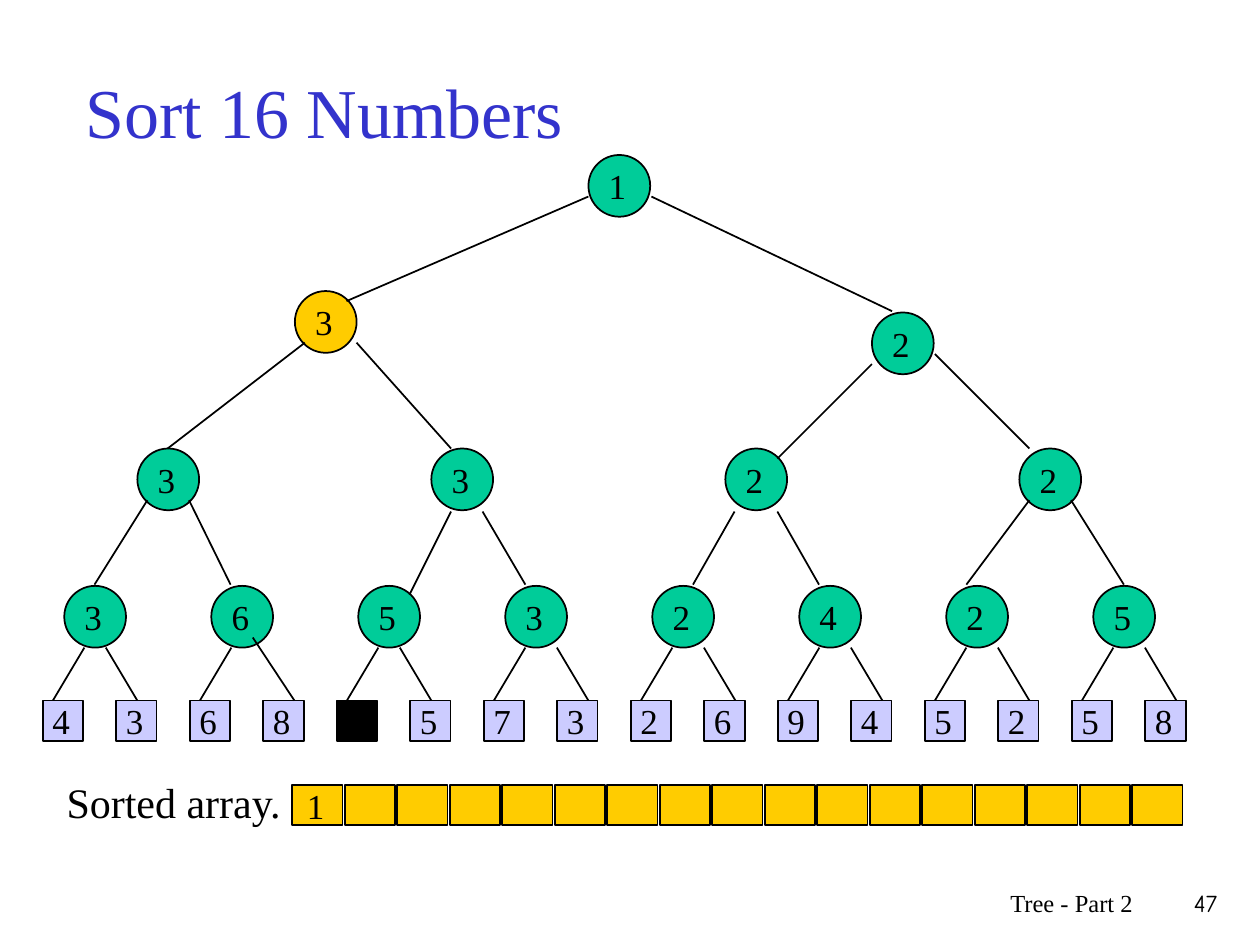
from pptx import Presentation
from pptx.dml.color import RGBColor
from pptx.enum.shapes import MSO_CONNECTOR, MSO_SHAPE
from pptx.enum.text import MSO_ANCHOR, PP_ALIGN
from pptx.oxml.ns import qn
from pptx.util import Inches, Pt
from lxml import etree

SERIF = "Times New Roman"
BLACK, GREEN, GOLD, LILAC, BLUE = "000000", "00CC99", "FFCC00", "CCCCFF", "3333CC"
NODE = 0.49
CELL_HEIGHT = 0.32
LEAF_PITCH = 7 / 12
MATCH_PITCH = 2 * LEAF_PITCH
ARRAY_PITCH = 5 / 12

# The empty entry is the leaf already moved to the sorted array.
LEAVES = ["4", "3", "6", "8", "", "5", "7", "3", "2", "6", "9", "4", "5", "2", "5", "8"]
FIRST_ROUND = "36532425"
SECOND_ROUND = "3322"

# (from x, from y, to x, to y) for the edges above the first round
UPPER_EDGES = [
    (4.67, 1.56, 2.75, 2.39), (5.17, 1.56, 7.08, 2.47),
    (2.42, 2.72, 1.33, 3.56), (2.83, 2.72, 3.58, 3.56),
    (6.92, 2.89, 6.17, 3.64), (7.42, 2.81, 8.17, 3.56),
    (1.17, 3.97, 0.75, 4.64), (1.5, 3.97, 1.83, 4.64),
    (3.58, 4.06, 3.25, 4.72), (3.83, 4.06, 4.17, 4.64),
    (5.83, 4.06, 5.5, 4.64), (6.17, 4.06, 6.5, 4.64),
    (8.17, 3.97, 7.67, 4.64), (8.5, 3.97, 8.92, 4.64),
]


def color(hex_string):
    return RGBColor.from_string(hex_string)


def style_text(paragraph, size, hex_color=BLACK, font=SERIF, align=PP_ALIGN.LEFT):
    paragraph.alignment = align
    for run in paragraph.runs:
        run.font.size = Pt(size)
        run.font.name = font
        run.font.color.rgb = color(hex_color)


def add_label(slide, text, left, top, width, height, size, anchor=MSO_ANCHOR.TOP, **style):
    frame = slide.shapes.add_textbox(
        Inches(left), Inches(top), Inches(width), Inches(height)).text_frame
    frame.word_wrap = True
    frame.vertical_anchor = anchor
    frame.text = text
    style_text(frame.paragraphs[0], size, **style)


def add_box(slide, kind, text, left, top, width, height, fill):
    """Add an outlined shape with its number in the middle."""
    box = slide.shapes.add_shape(
        kind, Inches(left), Inches(top), Inches(width), Inches(height))
    box.shadow.inherit = False
    box.fill.solid()
    box.fill.fore_color.rgb = color(fill)
    box.line.color.rgb = color(BLACK)
    box.line.width = Pt(1)
    if text:
        frame = box.text_frame
        frame.margin_left = frame.margin_top = frame.margin_bottom = 0
        frame.margin_right = Inches(0.03)
        frame.word_wrap = False
        frame.vertical_anchor = MSO_ANCHOR.MIDDLE
        frame.text = text
        style_text(frame.paragraphs[0], 20, align=PP_ALIGN.CENTER)


def add_node(slide, text, left, top, fill=GREEN):
    add_box(slide, MSO_SHAPE.OVAL, text, left, top, NODE, NODE, fill)


def add_edge(slide, x1, y1, x2, y2):
    edge = slide.shapes.add_connector(
        MSO_CONNECTOR.STRAIGHT, Inches(x1), Inches(y1), Inches(x2), Inches(y2))
    edge.line.color.rgb = color(BLACK)
    edge.line.width = Pt(1)
    etree.SubElement(edge._element.spPr, qn("a:effectLst"))


def add_nodes(slide):
    for i, number in enumerate(LEAVES):
        add_box(slide, MSO_SHAPE.RECTANGLE, number, 0.34 + i * LEAF_PITCH, 5.56,
                0.32, CELL_HEIGHT, LILAC if number else BLACK)
    for i, number in enumerate(FIRST_ROUND):
        add_node(slide, number, 0.51 + i * MATCH_PITCH, 4.65)
    for i, number in enumerate(SECOND_ROUND):
        add_node(slide, number, 1.09 + i * 2 * MATCH_PITCH, 3.56)
    add_node(slide, "3", 2.34, 2.31, GOLD)
    add_node(slide, "2", 6.92, 2.48)
    add_node(slide, "1", 4.67, 1.23)


def add_edges(slide):
    for edge in UPPER_EDGES:
        add_edge(slide, *edge)
    for i in range(len(FIRST_ROUND)):
        left = 0.67 + i * MATCH_PITCH
        add_edge(slide, left, 5.14, left - 0.25, 5.56)
        right = left + (0.17 if i < 3 else 0.25)
        if i == 1:
            add_edge(slide, right, 5.06, right + 0.33, 5.56)
        else:
            add_edge(slide, right, 5.14, right + 0.25, 5.56)


def add_sorted_array(slide):
    for i in range(17):
        add_box(slide, MSO_SHAPE.RECTANGLE, "1" if i == 0 else "",
                2.32 + i * ARRAY_PITCH, 6.23, 0.4, CELL_HEIGHT, GOLD)
    add_label(slide, "Sorted array.", 0.43, 6.11, 2.13, 0.5, 24)


def main():
    prs = Presentation()
    prs.slide_width, prs.slide_height = Inches(10), Inches(7.5)
    slide = prs.slides.add_slide(prs.slide_layouts[6])
    add_label(slide, "Sort 16 Numbers", 0.58, 0.25, 8.5, 1.25, 40,
              anchor=MSO_ANCHOR.MIDDLE, hex_color=BLUE)
    add_nodes(slide)
    add_edges(slide)
    add_sorted_array(slide)
    add_label(slide, "Tree - Part 2", 5.92, 7, 3.17, 0.5, 14, align=PP_ALIGN.RIGHT)
    add_label(slide, "47", 9.08, 7, 0.68, 0.5, 14, font="Comic Neue", align=PP_ALIGN.RIGHT)
    prs.save("out.pptx")


if __name__ == "__main__":
    main()
